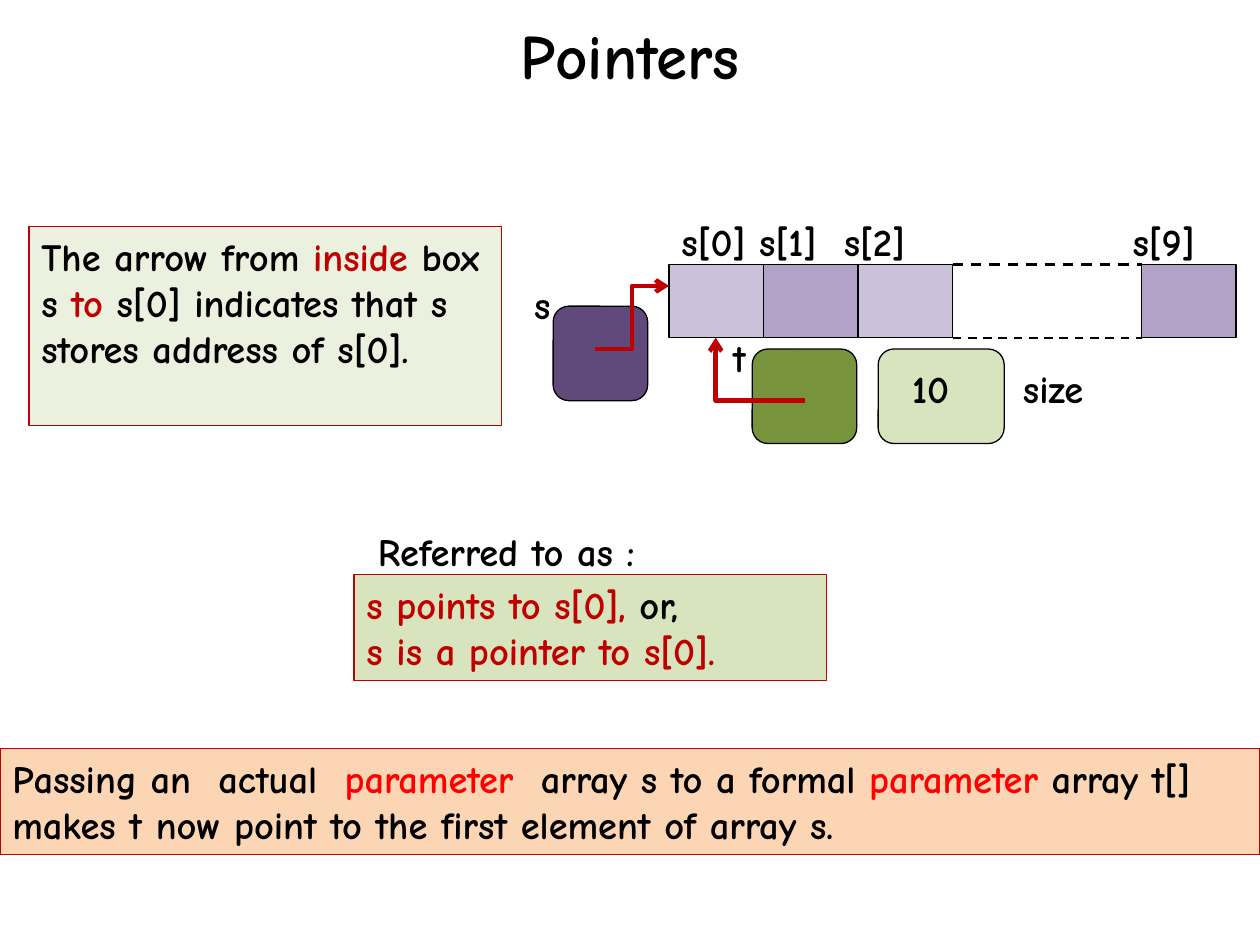
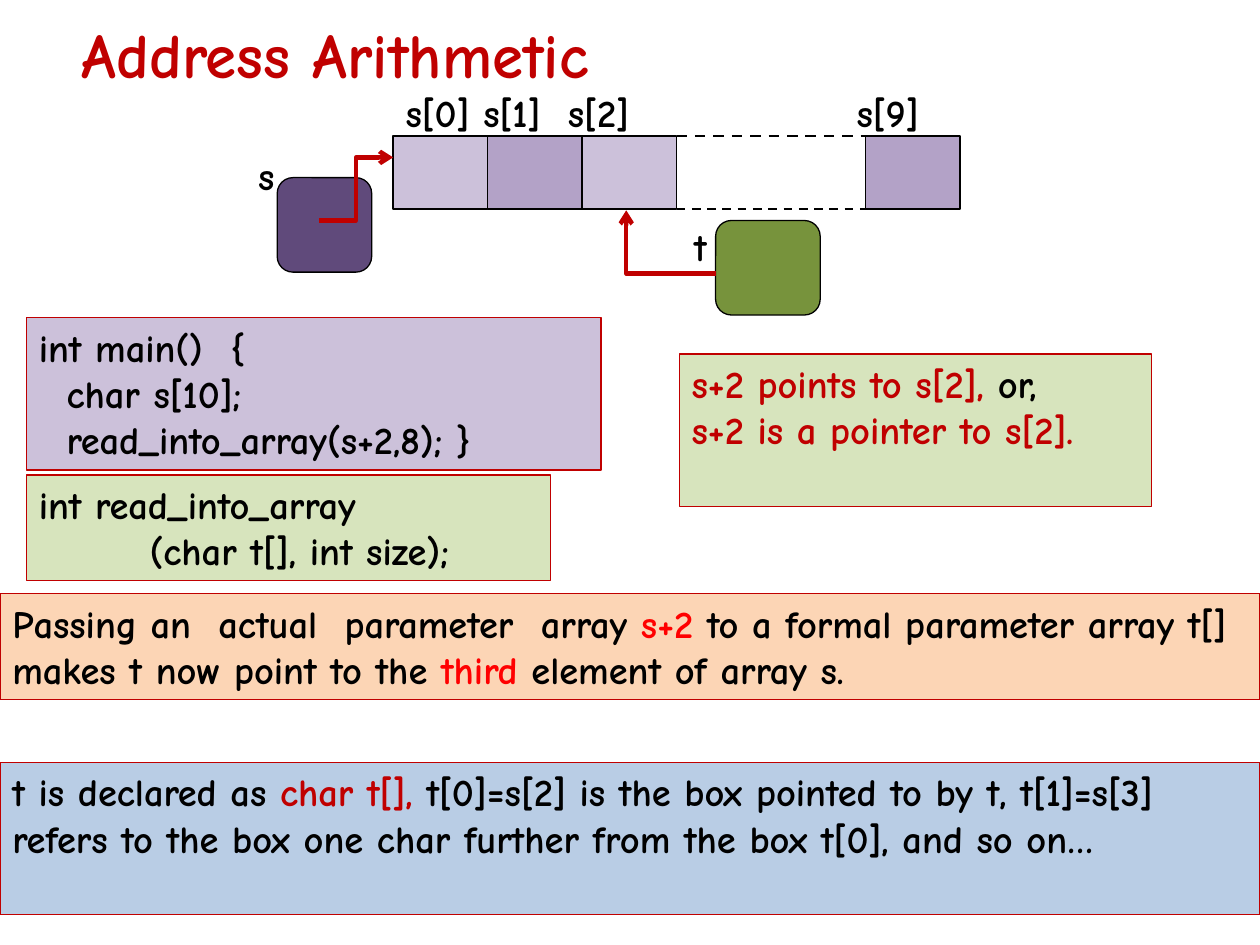
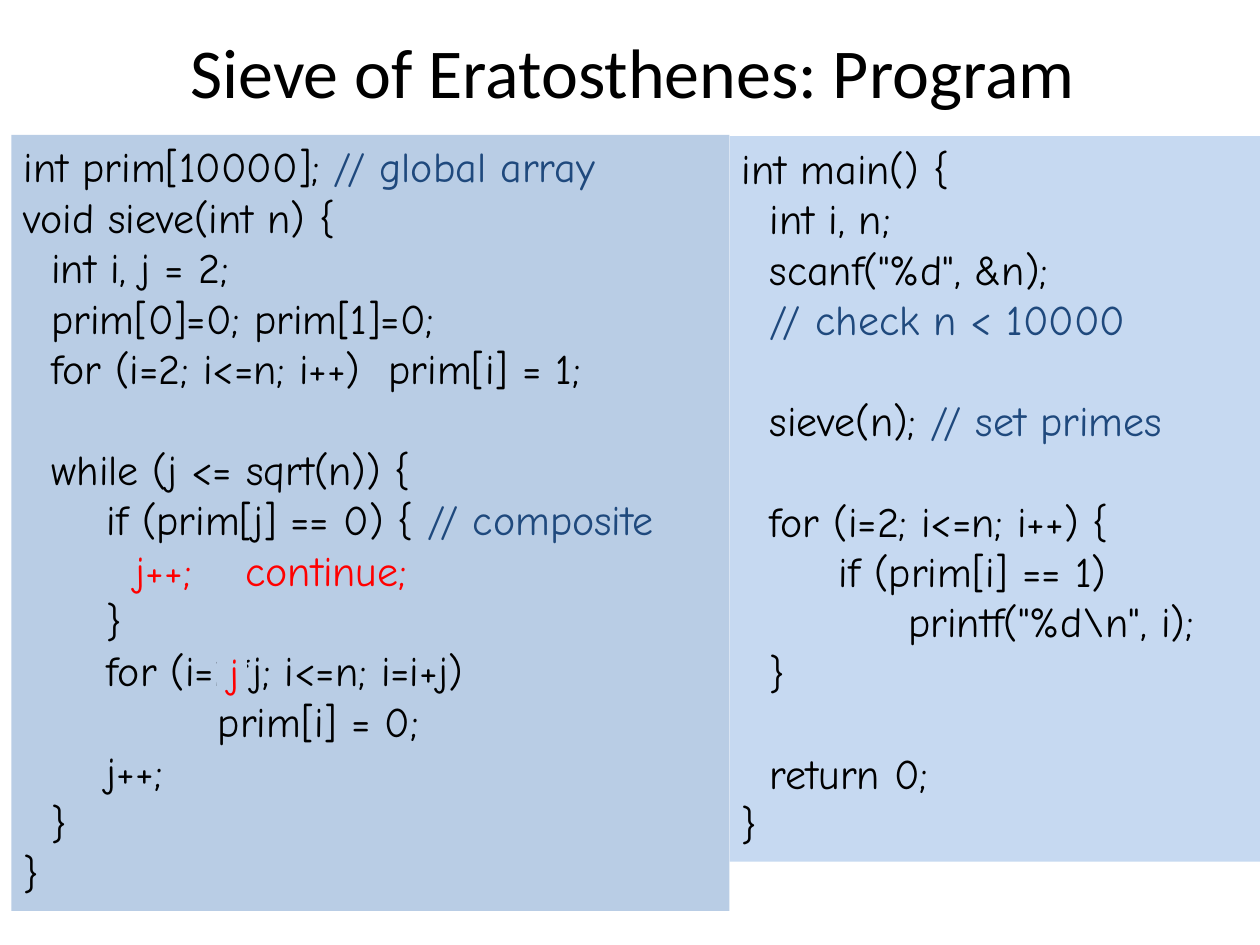
from dataclasses import dataclass

from pptx import Presentation
from pptx.dml.color import RGBColor
from pptx.enum.dml import MSO_LINE
from pptx.enum.shapes import MSO_CONNECTOR, MSO_SHAPE
from pptx.enum.text import MSO_ANCHOR, PP_ALIGN
from pptx.oxml.ns import qn
from pptx.util import Inches, Pt
from lxml.etree import SubElement


@dataclass(frozen=True)
class Theme:
    # Fonts and type sizes
    hand_font: str = "Comic Neue"
    plain_font: str = "Calibri"
    body_size: int = 22
    code_size: int = 24
    title_size: int = 36
    program_title_size: int = 40
    indent_step: float = 0.11
    blank_line: float = 28.8
    # Text and line colours
    black: str = "000000"
    crimson: str = "C00000"
    red: str = "FF0000"
    navy: str = "1F497D"
    # Fills
    pale_green: str = "EBF1DE"
    light_green: str = "D7E4BD"
    dark_green: str = "77933C"
    lilac: str = "CCC1DA"
    mauve: str = "B3A2C7"
    purple: str = "604A7B"
    peach: str = "FCD5B5"
    blue: str = "B9CDE5"
    light_blue: str = "C6D9F1"


THEME = Theme()


@dataclass
class Line:
    """One paragraph: runs are black text or (text, colour) pairs."""
    runs: tuple
    indent: int = 0
    gap: bool = False


def line(*runs, indent=0, gap=False):
    return Line(runs, indent, gap)


def crimson(text):
    return text, THEME.crimson


def red(text):
    return text, THEME.red


def comment(text):
    return text, THEME.navy


class Deck:
    TITLE_ONLY = 5
    CELL_WIDTH, CELL_HEIGHT = 0.75, 0.58

    def __init__(self, theme):
        self.theme = theme
        self.presentation = Presentation()
        self.presentation.slide_width = Inches(10)
        self.presentation.slide_height = Inches(7.5)
        self.slide = None

    def add_slide(self):
        layout = self.presentation.slide_layouts[self.TITLE_ONLY]
        self.slide = self.presentation.slides.add_slide(layout)

    def add_lines(self, frame, lines, size, bold, font=None, align=PP_ALIGN.LEFT):
        frame.word_wrap = True
        for index, content in enumerate(lines):
            paragraph = frame.add_paragraph() if index else frame.paragraphs[0]
            paragraph.alignment = align
            if content.gap:
                paragraph.space_before = Pt(self.theme.blank_line)
            if content.indent:
                margin = Inches(content.indent * self.theme.indent_step)
                paragraph._p.get_or_add_pPr().set("marL", str(margin))
            for item in content.runs:
                text, colour = (item, self.theme.black) if isinstance(item, str) else item
                run = paragraph.add_run()
                run.text = text
                run.font.name = font or self.theme.hand_font
                run.font.size = Pt(size)
                run.font.bold = bold
                run.font.color.rgb = RGBColor.from_string(colour)

    def title(self, content, left, top, width, height, size=THEME.title_size, bold=True,
              font=None, align=PP_ALIGN.CENTER, anchor=MSO_ANCHOR.TOP):
        shape = self.slide.shapes.title
        shape.left, shape.top = Inches(left), Inches(top)
        shape.width, shape.height = Inches(width), Inches(height)
        shape.text_frame.vertical_anchor = anchor
        self.add_lines(shape.text_frame, [line(content)], size, bold, font, align)

    def block(self, left, top, width, height, fill, outline=THEME.black, kind=MSO_SHAPE.RECTANGLE):
        shape = self.slide.shapes.add_shape(
            kind, Inches(left), Inches(top), Inches(width), Inches(height))
        shape.shadow.inherit = False
        shape.fill.solid()
        shape.fill.fore_color.rgb = RGBColor.from_string(fill)
        if outline:
            shape.line.color.rgb = RGBColor.from_string(outline)
            shape.line.width = Pt(0.75)
        else:
            shape.line.fill.background()
        return shape

    def rounded(self, left, top, width, fill):
        self.block(left, top, width, 0.75, fill, kind=MSO_SHAPE.ROUNDED_RECTANGLE)

    def panel(self, left, top, width, height, fill, *lines):
        shape = self.block(left, top, width, height, fill, self.theme.crimson)
        shape.text_frame.vertical_anchor = MSO_ANCHOR.TOP
        self.add_lines(shape.text_frame, lines, self.theme.body_size, True)

    def code(self, left, top, width, height, fill, *lines):
        shape = self.block(left, top, width, height, fill, None)
        shape.text_frame.vertical_anchor = MSO_ANCHOR.TOP
        self.add_lines(shape.text_frame, lines, self.theme.code_size, False)

    def label(self, content, left, top, width, size=THEME.body_size, bold=True):
        box = self.slide.shapes.add_textbox(
            Inches(left), Inches(top), Inches(width), Inches(0.47))
        self.add_lines(box.text_frame, [line(content)], size, bold)

    def connector(self, kind, begin, end, colour, width):
        connector = self.slide.shapes.add_connector(
            kind, *(Inches(value) for value in (*begin, *end)))
        connector.line.color.rgb = RGBColor.from_string(colour)
        connector.line.width = Pt(width)
        SubElement(connector._element.spPr, qn("a:effectLst"))
        return connector

    def dashed(self, begin, end, width):
        connector = self.connector(MSO_CONNECTOR.STRAIGHT, begin, end, self.theme.black, width)
        connector.line.dash_style = MSO_LINE.DASH

    def elbow_arrow(self, begin, end, preset="bentConnector3"):
        connector = self.connector(MSO_CONNECTOR.ELBOW, begin, end, self.theme.crimson, 2.5)
        properties = connector._element.spPr
        properties.find(qn("a:prstGeom")).set("prst", preset)
        SubElement(properties.find(qn("a:ln")), qn("a:tailEnd"), type="arrow")

    def array(self, left, top):
        """Array s with its index labels and the box s pointing to s[0]."""
        theme, bottom = self.theme, top + self.CELL_HEIGHT
        for index, fill in ((0, theme.lilac), (1, theme.mauve), (2, theme.lilac), (5, theme.mauve)):
            self.block(left + index * self.CELL_WIDTH, top,
                       self.CELL_WIDTH, self.CELL_HEIGHT, fill)
        gap_left, gap_right = left + 3 * self.CELL_WIDTH, left + 5 * self.CELL_WIDTH
        self.dashed((gap_left, top), (gap_right, top), 1.5)
        self.dashed((gap_left, bottom), (gap_right, bottom), 1.25)
        self.label("s[0] s[1]  s[2]", left, top - 0.42, 2.58)
        self.label("s[9]", left + 3.58, top - 0.42, 0.77)
        self.rounded(left - 0.92, top + 0.33, 0.75, theme.purple)
        self.label("s", left - 1.17, top + 0.08, 0.35)
        self.elbow_arrow((left - 0.59, top + 0.67), (left, top + 0.17))

    def parameter(self, left, top, label_at, tip):
        """Box t with its arrow to an array cell."""
        self.label("t", *label_at, 0.35)
        self.rounded(left, top, 0.83, self.theme.dark_green)
        self.elbow_arrow((tip[0] + 0.71, tip[1] + 0.5), tip, "bentConnector2")


def pointers_slide(deck):
    theme = deck.theme
    deck.add_slide()
    deck.title("Pointers", 0, 0.08, 10, 0.71)
    deck.panel(0.23, 1.8, 3.75, 1.58, theme.pale_green,
               line("The arrow from ", crimson("inside "), "box s ", crimson("to"),
                    " s[0] indicates that s stores address of s[0]."))
    # Memory diagram
    deck.array(5.31, 2.1)
    deck.parameter(5.97, 2.77, (5.72, 2.6), (5.68, 2.68))
    deck.label("size", 8.02, 2.85, 0.91)
    deck.rounded(6.97, 2.77, 1, theme.light_green)
    deck.label("10", 7.14, 2.85, 0.58)
    # Terminology and conclusion
    deck.panel(2.81, 4.56, 3.75, 0.84, theme.light_green,
               line(crimson("s points to s[0], "), "or,"),
               line(crimson("s is a pointer to s[0].")))
    deck.label("Referred to as :", 2.9, 4.14, 2.71)
    deck.panel(0, 5.94, 10, 0.84, theme.peach,
               line("Passing an  actual  ", red("parameter"), "  array s to a formal ",
                    red("parameter"),
                    " array t[] makes t now point to the first element of array s."))


def arithmetic_slide(deck):
    theme = deck.theme
    deck.add_slide()
    deck.title(crimson("Address Arithmetic"), 0.55, 0.07, 5.54, 0.71, align=PP_ALIGN.LEFT)
    # Memory diagram
    deck.array(3.12, 1.08)
    deck.parameter(5.68, 1.75, (5.41, 1.72), (4.97, 1.67))
    # Code and terminology
    deck.panel(5.39, 2.81, 3.75, 1.21, theme.light_green,
               line(crimson("s+2 points to s[2], "), "or,"),
               line(crimson("s+2 is a pointer to s[2].")))
    deck.panel(0.21, 2.52, 4.56, 1.21, theme.lilac,
               line("int main()  {"),
               line("char s[10];", indent=2),
               line("read_into_array(s+2,8); }", indent=2))
    deck.panel(0.21, 3.77, 4.16, 0.84, theme.light_green,
               line("int read_into_array"),
               line("(char t[], int size);", indent=8))
    # Conclusions
    deck.panel(0, 4.71, 10, 0.84, theme.peach,
               line("Passing an  actual  parameter  array ", red("s+2 "),
                    "to a formal parameter array t[] makes t now point to the ",
                    red("third "), "element of array s."))
    deck.panel(0, 6.05, 10, 1.21, theme.blue,
               line("t is declared as ", crimson("char t[], "),
                    "t[0]=s[2] is the box pointed to by t, t[1]=s[3] refers to the box "
                    "one char further from the box t[0], and so on…"))


def sieve_slide(deck):
    theme = deck.theme
    deck.add_slide()
    deck.title("Sieve of Eratosthenes: Program", 0.04, 0.05, 9.96, 1.02,
               theme.program_title_size, False, theme.plain_font, anchor=MSO_ANCHOR.MIDDLE)
    # Sieve function
    deck.code(0.09, 1.07, 5.7, 6.16, theme.blue,
              line("int prim[10000]; ", comment("// global array")),
              line("void sieve(int n) {"),
              line("int i, j = 2;", indent=2),
              line("prim[0]=0; prim[1]=0;", indent=2),
              line("for (i=2; i<=n; i++)  prim[i] = 1;", indent=2),
              line("while (j <= sqrt(n)) {", indent=2, gap=True),
              line("if (prim[j] == 0) { ", comment("// composite"), indent=6),
              line(red("continue;"), indent=16),
              line("}", indent=6),
              line("for (i=2*j; i<=n; i=i+j)", indent=6),
              line("prim[i] = 0;", indent=14),
              line("j++;", indent=6),
              line("}", indent=2),
              line("}"))
    # Main program
    deck.code(5.79, 1.08, 4.25, 5.76, theme.light_blue,
              line("int main() {"),
              line("int i, n;", indent=2),
              line('scanf("%d", &n);', indent=2),
              line(comment("// check n < 10000"), indent=2),
              line("sieve(n); ", comment("// set primes"), indent=2, gap=True),
              line("for (i=2; i<=n; i++) {", indent=2, gap=True),
              line("if (prim[i] == 1)", indent=7),
              line('printf("%d\\n", i);', indent=12),
              line("}", indent=2),
              line("return 0;", indent=2, gap=True),
              line("}"))
    # Corrections laid over the sieve
    deck.label(red("j++;"), 0.98, 4.27, 0.76, theme.code_size, False)
    deck.code(1.72, 5.08, 0.24, 0.5, theme.blue, line(red("j")))


def main():
    deck = Deck(THEME)
    pointers_slide(deck)
    arithmetic_slide(deck)
    sieve_slide(deck)
    deck.presentation.save("out.pptx")


if __name__ == "__main__":
    main()
